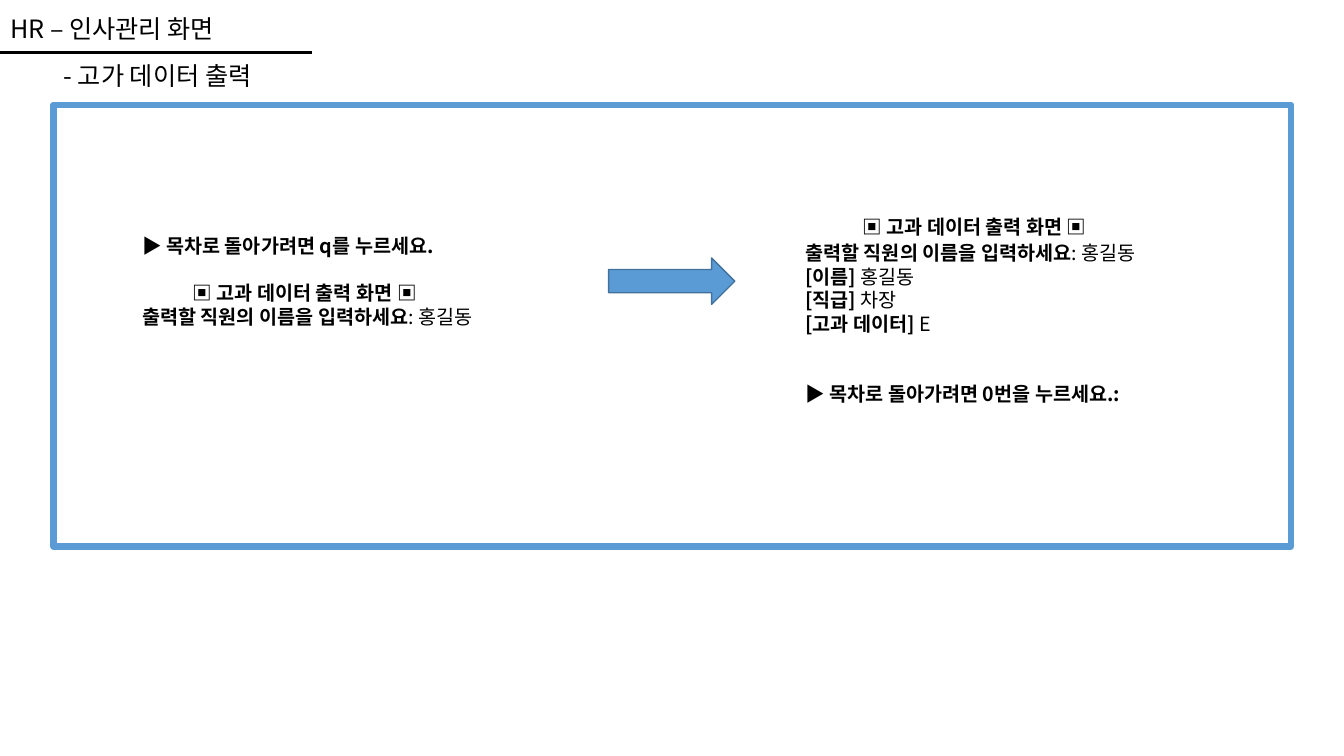
from lxml import etree
from pptx import Presentation
from pptx.dml.color import RGBColor
from pptx.enum import shapes, text
from pptx.oxml.ns import qn
from pptx.util import Cm, Pt

FONT = "Noto Sans CJK KR"
BLACK, BLUE, DARK_BLUE = "000000", "5B9BD5", "42719B"
LINE_HEIGHT = 16.8


def color(hex_code):
    return RGBColor.from_string(hex_code)


class Deck:
    def __init__(self, slide):
        self.slide = slide

    def place(self, sp, left, top, width, height):
        sp.left, sp.top, sp.width, sp.height = map(Cm, (left, top, width, height))

    def add_lines(self, sp, lines, size):
        tf = sp.text_frame
        tf.word_wrap = True
        tf.auto_size = text.MSO_AUTO_SIZE.NONE
        tf.vertical_anchor = text.MSO_ANCHOR.TOP
        for i, (runs, indent, before) in enumerate(lines):
            p = tf.paragraphs[0] if i == 0 else tf.add_paragraph()
            p.alignment = text.PP_ALIGN.LEFT
            p.line_spacing = 1.0
            p.space_before = Pt(before)
            pPr = p._p.get_or_add_pPr()
            pPr.set("marL", "0")
            pPr.set("indent", str(Cm(indent)))
            etree.SubElement(pPr, qn("a:buNone"))
            for words, bold in runs:
                r = p.add_run()
                r.text = words
                r.font.name = FONT
                r.font.size = Pt(size)
                r.font.bold = bold
                r.font.color.rgb = color(BLACK)
                ea = etree.SubElement(r._r.get_or_add_rPr(), qn("a:ea"))
                ea.set("typeface", FONT)

    def fill_placeholder(self, idx, box, lines, size=14):
        sp = self.slide.placeholders[idx]
        self.place(sp, *box)
        self.add_lines(sp, lines, size)

    def text_box(self, box, lines, size):
        sp = self.slide.shapes.add_textbox(*map(Cm, box))
        self.add_lines(sp, lines, size)

    def shape(self, kind, box, line, weight, fill=None):
        sp = self.slide.shapes.add_shape(kind, *map(Cm, box))
        sp.shadow.inherit = False
        if fill:
            sp.fill.solid()
            sp.fill.fore_color.rgb = color(fill)
        else:
            sp.fill.background()
        sp.line.color.rgb = color(line)
        sp.line.width = Pt(weight)

    def line(self, x1, y1, x2, y2, weight):
        cx = self.slide.shapes.add_connector(
            shapes.MSO_CONNECTOR.STRAIGHT, *map(Cm, (x1, y1, x2, y2)))
        cx.line.color.rgb = color(BLACK)
        cx.line.width = Pt(weight)
        etree.SubElement(cx._element.spPr, qn("a:effectLst"))


def main():
    prs = Presentation()
    prs.slide_width, prs.slide_height = Cm(33.87), Cm(19.05)
    deck = Deck(prs.slides.add_slide(prs.slide_layouts[3]))

    heading = [("▣ 고과 데이터 출력 화면 ▣", True)]
    prompt = [("출력할 직원의 이름을 입력하세요", True), (": 홍길동", False)]
    input_screen = [
        ([("▶ 목차로 돌아가려면 q를 누르세요.", True)], 0, 0),
        (heading, 1.27, LINE_HEIGHT),
        (prompt, 0, 0),
    ]
    result_screen = [
        (heading, 1.44, 0),
        (prompt, 0, 1.5),
        ([("[이름] ", True), ("홍길동", False)], 0, 0),
        ([("[직급] ", True), ("차장", False)], 0, 0),
        ([("[고과 데이터] ", True), ("E", False)], 0, 0),
        ([("▶ 목차로 돌아가려면 0번을 누르세요.:", True)], 0, 2 * LINE_HEIGHT),
    ]

    deck.fill_placeholder(0, (0, 0.2, 16.3, 1.02),
                          [([("HR – 인사관리 화면", False)], 0, 0)], 18)
    deck.line(0, 1.32, 7.87, 1.32, 1.75)
    deck.text_box((1.35, 1.4, 7.54, 1.02),
                  [([("- 고가 데이터 출력", False)], 0, 0)], 18)
    deck.shape(shapes.MSO_SHAPE.RECTANGLE, (1.35, 2.64, 31.19, 11.13), BLUE, 4.5)
    deck.fill_placeholder(1, (3.33, 5.77, 9.98, 2.64), input_screen)
    deck.fill_placeholder(2, (20.04, 5.3, 11.25, 5.21), result_screen)
    deck.shape(shapes.MSO_SHAPE.RIGHT_ARROW, (15.34, 6.5, 3.18, 1.17), DARK_BLUE, 1, BLUE)

    prs.save("out.pptx")


if __name__ == "__main__":
    main()
